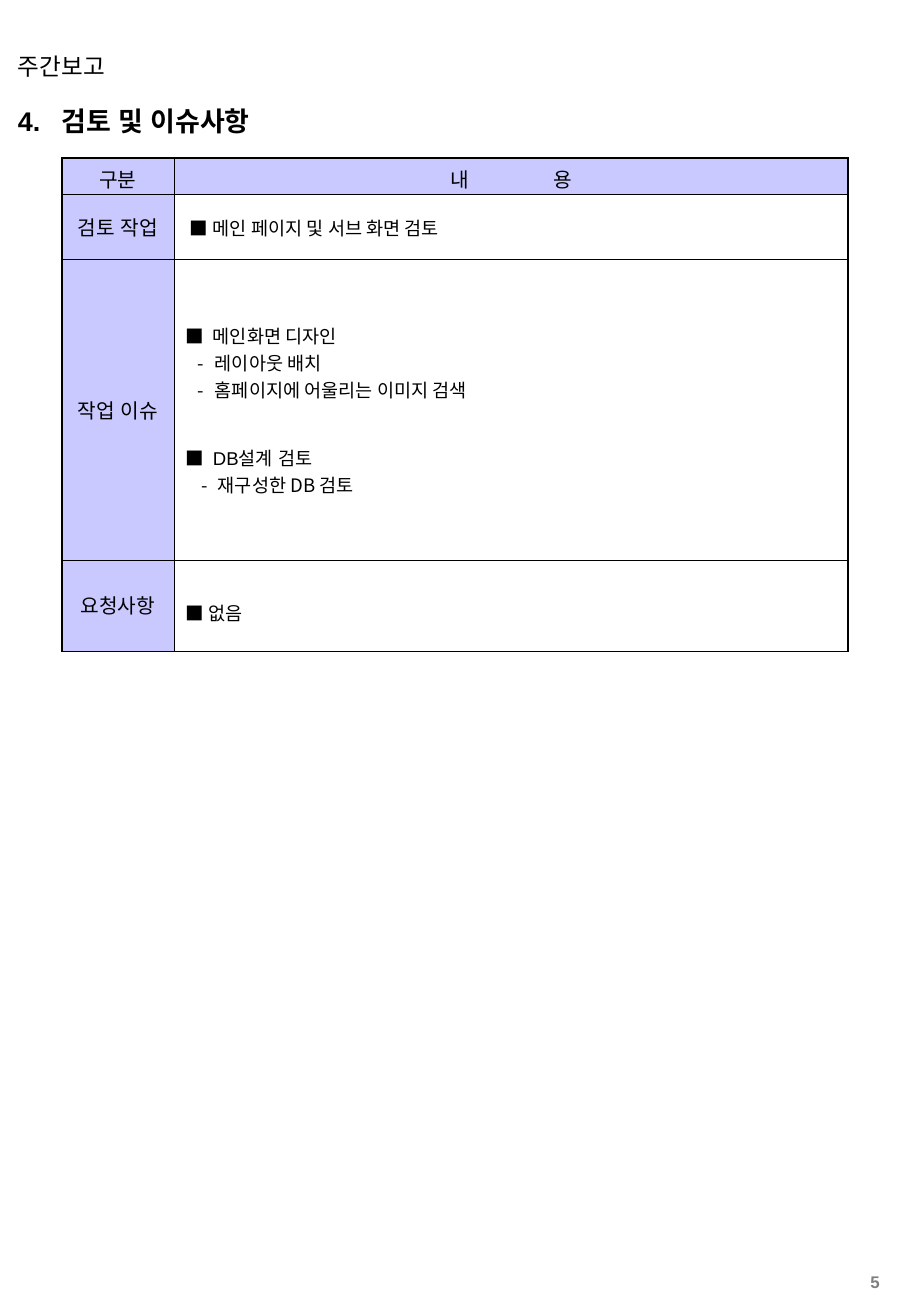
from lxml import etree
from pptx import Presentation
from pptx.dml.color import RGBColor
from pptx.enum.text import MSO_ANCHOR, MSO_AUTO_SIZE, PP_ALIGN
from pptx.oxml.ns import qn
from pptx.util import Emu, Inches, Pt

LEFT, CENTER, RIGHT = PP_ALIGN.LEFT, PP_ALIGN.CENTER, PP_ALIGN.RIGHT
TOP, MIDDLE = MSO_ANCHOR.TOP, MSO_ANCHOR.MIDDLE
FIXED = MSO_AUTO_SIZE.NONE
EMU_PER_PX = 7526
SANS, KOREAN = "Arial", "Noto Sans CJK KR"
BLACK, GRAY, LILAC = "000000", "808080", "C9C9FF"
THIN, THICK = 0.45, 1.08

# Content
PAGE_SIZE = (7.5, 10.84)  # inches
REPORT_NAME = "주간보고"
HEADING = "4.\t검토 및 이슈사항"
PAGE_NUMBER = "5"
HEADER = ("구분", ("내", "용"))
# Each item: mark, mark px, text px, text, font, paragraph format
ROWS = [
    ("검토 작업", [("■", 4, 27, "메인 페이지 및 서브 화면 검토", KOREAN, {})]),
    ("작업 이슈", [
        ("■", 0, 27, "메인화면 디자인", KOREAN, {}),
        ("-", 12, 29, "레이아웃 배치", KOREAN, {}),
        ("-", 12, 29, "홈페이지에 어울리는 이미지 검색", KOREAN, {}),
        ("■", 0, 27, "DB설계 검토", SANS, {"space_before": Pt(24.5)}),
        ("-", 16, 32, "재구성한 DB 검토", KOREAN, {}),
    ]),
    ("요청사항", [("■", 0, 23, "없음", KOREAN, {"line_spacing": 1.5})]),
]

# Layout
NAME_BOX = (6, 46, 723, 41)
HEADING_BOX = (6, 99, 651, 45)
NUMBER_BOX = (824, 1267, 68, 29)
TABLE_AT = (62, 158)
COLUMN_WIDTHS = (112, 674)
ROW_HEIGHTS = (37, 65, 301, 91)
HEADING_INDENT = 44
MARGINS = {"margin_left": 12, "margin_right": 12, "margin_top": 6, "margin_bottom": 6}
LABEL_MARGINS = {**MARGINS, "margin_top": 8}
HEADER_MARGINS = {**MARGINS, "margin_top": 9, "margin_bottom": 0}
HEADER_GAP = 46.7


def px(length):
    return Emu(length * EMU_PER_PX)


def color(value):
    return RGBColor.from_string(value)


def apply(target, values):
    for name, value in values.items():
        setattr(target, name, value)


def set_margins(target, margins):
    apply(target, {name: px(value) for name, value in margins.items()})


def add_span(para, text, size, font=SANS, ink=BLACK, bold=False):
    span = para.add_run()
    span.text = text
    apply(span.font, {"name": font, "size": Pt(size), "bold": bold})
    span.font.color.rgb = color(ink)
    east_asian = etree.SubElement(span.font._element, qn("a:ea"))
    east_asian.set("typeface", font)
    return span


def set_indent(para, first, rest):
    properties = para._p.get_or_add_pPr()
    properties.set("marL", str(px(rest)))
    properties.set("indent", str(px(first - rest)))


def fill_box(box, place, text, size, align=LEFT, **look):
    apply(box, dict(zip(("left", "top", "width", "height"), map(px, place))))
    frame = box.text_frame
    apply(frame, {"word_wrap": True, "auto_size": FIXED, "vertical_anchor": TOP})
    set_margins(frame, MARGINS)
    para = frame.paragraphs[0]
    para.alignment = align
    add_span(para, text, size, **look)
    return para


def set_borders(cell, widths):
    properties = cell._tc.get_or_add_tcPr()
    for index, (side, width) in enumerate(zip("LRTB", widths)):
        line = etree.Element(qn(f"a:ln{side}"), w=str(Pt(width)))
        fill = etree.SubElement(line, qn("a:solidFill"))
        etree.SubElement(fill, qn("a:srgbClr")).set("val", BLACK)
        properties.insert(index, line)


def add_label(cell, text):
    para = cell.text_frame.paragraphs[0]
    para.alignment = CENTER
    add_span(para, text, 12)
    return para


def add_items(cell, items):
    frame = cell.text_frame
    for index, (mark, first, rest, text, font, layout) in enumerate(items):
        para = frame.add_paragraph() if index else frame.paragraphs[0]
        apply(para, {"alignment": LEFT, **layout})
        set_indent(para, first, rest)
        add_span(para, f"{mark}\t", 11, KOREAN)
        add_span(para, text, 11, font)


def cell_margins(row_index, column_index):
    if row_index == 0:
        return HEADER_MARGINS
    return MARGINS if column_index else LABEL_MARGINS


def add_review_table(page):
    size = (sum(COLUMN_WIDTHS), sum(ROW_HEIGHTS))
    last_row, last_column = len(ROW_HEIGHTS) - 1, len(COLUMN_WIDTHS) - 1
    table = page.shapes.add_table(last_row + 1, last_column + 1,
                                  *map(px, TABLE_AT + size)).table
    apply(table, {"first_row": False, "horz_banding": False})
    for column, width in zip(table.columns, COLUMN_WIDTHS):
        column.width = px(width)

    # Fills, margins and borders
    for row_index, height in enumerate(ROW_HEIGHTS):
        table.rows[row_index].height = px(height)
        for column_index in range(last_column + 1):
            cell = table.cell(row_index, column_index)
            cell.vertical_anchor = MIDDLE
            set_margins(cell, cell_margins(row_index, column_index))
            if row_index and column_index:
                cell.fill.background()
            else:
                cell.fill.solid()
                cell.fill.fore_color.rgb = color(LILAC)
            outer = (column_index == 0, column_index == last_column,
                     row_index == 0, row_index == last_row)
            set_borders(cell, [THICK if edge else THIN for edge in outer])

    # Header row: the two syllables are spread by character spacing
    add_label(table.cell(0, 0), HEADER[0])
    first, last = HEADER[1]
    para = add_label(table.cell(0, 1), first)
    gap = add_span(para, " ", 12)
    gap.font._element.set("spc", str(round(HEADER_GAP * 100)))
    add_span(para, last, 12)

    # Body rows
    for row_index, (label, items) in enumerate(ROWS, start=1):
        add_label(table.cell(row_index, 0), label)
        add_items(table.cell(row_index, 1), items)


def main():
    deck = Presentation()
    deck.slide_width, deck.slide_height = map(Inches, PAGE_SIZE)
    page = deck.slides.add_slide(deck.slide_layouts[5])

    # Report name, heading and page number
    name_box = page.shapes.add_textbox(0, 0, 0, 0)
    fill_box(name_box, NAME_BOX, REPORT_NAME, 14)
    heading = fill_box(page.shapes.title, HEADING_BOX, HEADING, 16, bold=True)
    set_indent(heading, 0, HEADING_INDENT)
    number_box = page.shapes.add_textbox(0, 0, 0, 0)
    fill_box(number_box, NUMBER_BOX, PAGE_NUMBER, 10, RIGHT, ink=GRAY, bold=True)

    add_review_table(page)
    deck.save("out.pptx")


if __name__ == "__main__":
    main()
